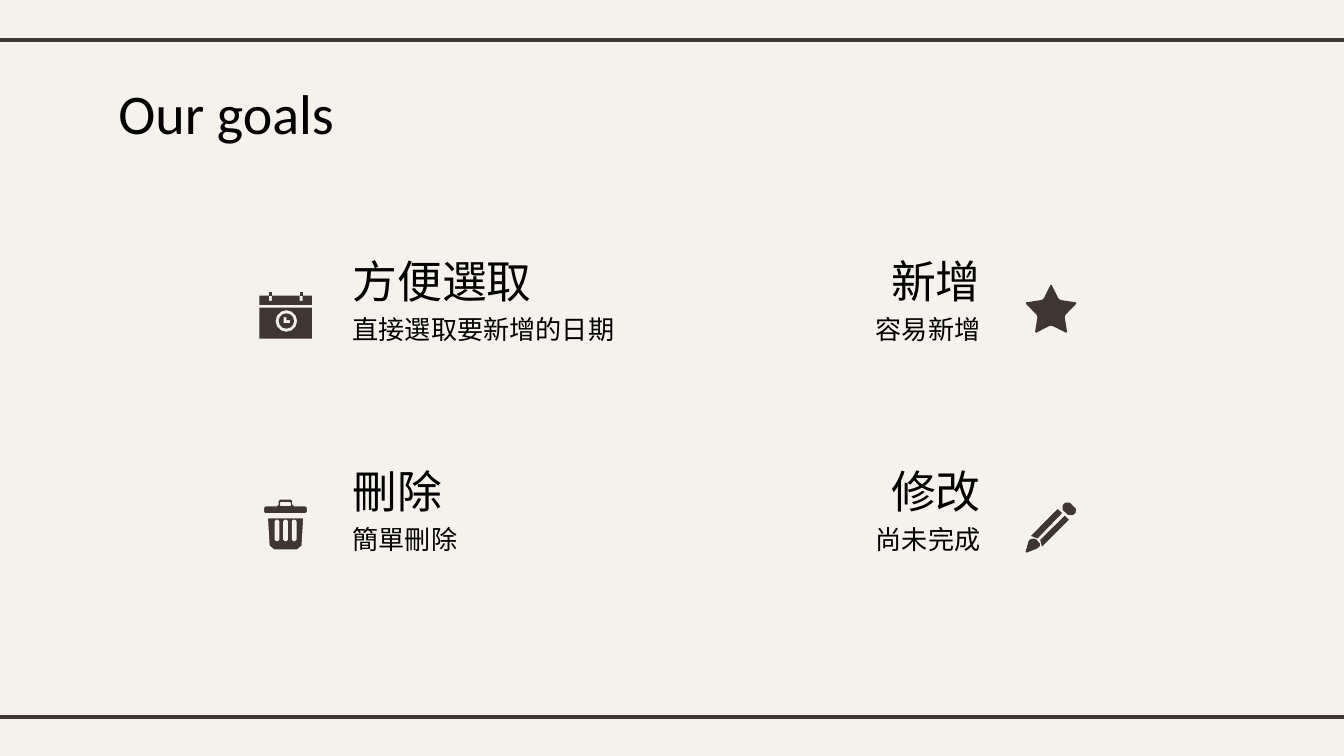
from math import cos, pi, sin

from lxml import etree
from pptx import Presentation
from pptx.dml.color import RGBColor
from pptx.enum.shapes import MSO_CONNECTOR
from pptx.enum.text import MSO_ANCHOR, PP_ALIGN
from pptx.oxml.ns import qn
from pptx.util import Pt

LEFT, RIGHT = PP_ALIGN.LEFT, PP_ALIGN.RIGHT
TOP = MSO_ANCHOR.TOP
STRAIGHT = MSO_CONNECTOR.STRAIGHT
COLORS = {"background": "F5F2EE", "brown": "3F3533", "text": "000000"}
HEADING_FONT, BODY_FONT, TITLE_FONT = "Noto Sans CJK SC", "Montserrat", "Calibri"


def rgb(name):
    """Return a named colour."""
    return RGBColor.from_string(COLORS[name])


def rect(x1, y1, x2, y2):
    """Return the corners of a rectangle."""
    return [(x1, y1), (x2, y1), (x2, y2), (x1, y2)]


def circle(cx, cy, radius, steps=12):
    """Return points around a circle."""
    angles = [2 * pi * i / steps for i in range(steps)]
    return [(cx + radius * cos(a), cy + radius * sin(a)) for a in angles]


def eased(corners, radius):
    """Return the outline with every corner cut back by the radius."""
    points = []
    for i, (x, y) in enumerate(corners):
        for nx, ny in (corners[i - 1], corners[(i + 1) % len(corners)]):
            length = ((nx - x) ** 2 + (ny - y) ** 2) ** 0.5
            t = min(radius / length, 0.45)
            points.append((x + (nx - x) * t, y + (ny - y) * t))
    return points


def add_outline(s, left, top, contours, edge=None):
    """Draw contours as one filled shape; inner contours are holes."""
    scaled = [[(round(x * 100), round(y * 100)) for x, y in c] for c in contours]
    builder = s.shapes.build_freeform(*scaled[0][0], scale=Pt(1) / 100)
    builder.add_line_segments(scaled[0][1:], close=True)
    for contour in scaled[1:]:
        builder.move_to(*contour[0])
        builder.add_line_segments(contour[1:], close=True)
    sp = builder.convert_to_shape(Pt(left), Pt(top))
    sp.shadow.inherit = False
    sp.fill.solid()
    sp.fill.fore_color.rgb = rgb("brown")
    if edge:
        sp.line.color.rgb = rgb(edge)
        sp.line.width = Pt(0.75)
    else:
        sp.line.fill.background()


def draw_calendar(s, left, top):
    """Draw the calendar with a clock face."""
    header = [(0, 2.2), (5, 2.2), (5, 5), (6.6, 5), (6.6, 2.2), (21.5, 2.2),
              (21.5, 5), (23.1, 5), (23.1, 2.2), (28.1, 2.2), (28.1, 7.2), (0, 7.2)]
    hands = [(13, 13.7), (14.4, 13.7), (14.4, 15.3), (16.4, 15.3), (16.4, 17), (13, 17)]
    add_outline(s, left, top, [header])
    add_outline(s, left, top, [rect(0, 8.6, 28.1, 25.2), circle(14.4, 15.8, 5.8),
                               circle(14.4, 15.8, 4.1), hands])
    for x in (5, 21.5):
        add_outline(s, left, top, [rect(x, 0.2, x + 1.6, 2.2)])


def draw_star(s, left, top):
    """Draw the five-pointed star with blunt tips."""
    tips = [(13.7, -0.5), (18, 8), (27.8, 9.5), (20.9, 16.6), (22.4, 26),
            (13.7, 21.6), (5, 26), (6.5, 16.6), (-0.4, 9.5), (9.4, 8)]
    add_outline(s, left, top, [eased(tips, 0.8)])


def draw_trash(s, left, top):
    """Draw the bin and its lid."""
    bin_body = [(2.1, 10), (21.7, 10), (20.8, 25.2), (18.2, 27.4), (5.6, 27.4), (3, 25.2)]
    slots = [eased(rect(x, 11.5, x + 1.8, 22.3), 0.6) for x in (6.4, 11, 15.6)]
    lid = [(0, 3.7), (7.9, 3.7), (7.9, 0), (15.8, 0), (15.8, 3.7), (23.7, 3.7),
           (23.7, 8), (0, 8)]
    add_outline(s, left, top, [bin_body] + slots, "background")
    add_outline(s, left, top, [eased(lid, 0.9), rect(9.4, 2.2, 14.3, 3.7)], "background")


def draw_pencil(s, left, top):
    """Draw the slanted pencil: two shaft halves, eraser and tip."""
    eraser = [(18.7, 2.9), (22.5, -1), (28.2, 4.7), (23.9, 7.9)]
    tip = [(1.9, 20), (5.2, 19.2), (8.2, 22.8), (6.5, 24.7), (-0.2, 27.3)]
    for contour in ([(17.2, 3.6), (19.6, 5.8), (6.4, 19.4), (2.9, 18)],
                    [(21, 7.2), (23.2, 9.4), (8.8, 23.8), (7.9, 20.2)],
                    eased(eraser, 1.7), eased(tip, 0.8)):
        add_outline(s, left, top, [contour])


def set_text(sp, text, font, size, align):
    """Fill a text shape with one formatted paragraph."""
    tf = sp.text_frame
    tf.word_wrap = True
    tf.vertical_anchor = TOP
    tf.margin_left = tf.margin_right = tf.margin_top = tf.margin_bottom = Pt(7.2)
    tf.text = text
    p = tf.paragraphs[0]
    p.alignment = align
    r = p.runs[0]
    r.font.name = font
    r.font.size = Pt(size)
    r.font.color.rgb = rgb("text")
    ea = etree.SubElement(r.font._element, qn("a:ea"))
    ea.set("typeface", font)


def add_goal(s, left, top, heading, detail, align):
    """Place a goal's heading and the detail under it."""
    for dy, height, text, font, size in ((0, 39.6, heading, HEADING_FONT, 24),
                                         (31.9, 45.4, detail, BODY_FONT, 14)):
        sp = s.shapes.add_textbox(Pt(left), Pt(top + dy), Pt(158.4), Pt(height))
        set_text(sp, text, font, size, align)


def add_rule(s, y):
    """Draw a full-width horizontal rule."""
    rule = s.shapes.add_connector(STRAIGHT, Pt(-6), Pt(y), Pt(726), Pt(y))
    rule.line.color.rgb = rgb("brown")
    rule.line.width = Pt(2.25)
    etree.SubElement(rule._element.spPr, qn("a:effectLst"))


def build_goals_slide(prs):
    """Build the slide with the title, four goals and their icons."""
    s = prs.slides.add_slide(prs.slide_layouts[5])
    s.background.fill.solid()
    s.background.fill.fore_color.rgb = rgb("background")
    for y in (21.6, 384):
        add_rule(s, y)
    title = s.shapes.title
    title.left, title.top, title.width, title.height = Pt(56.2), Pt(35), Pt(219.6), Pt(45.4)
    set_text(title, "Our goals", TITLE_FONT, 30, LEFT)
    columns = ((181.8, LEFT), (374, RIGHT))
    rows = (128.7, 241.4)
    goals = ((("方便選取", "直接選取要新增的日期", draw_calendar, 139, 27.5),
              ("新增", "容易新增", draw_star, 549.4, 23.9)),
             (("刪除", "簡單刪除", draw_trash, 141.1, 25.9),
              ("修改", "尚未完成", draw_pencil, 549.4, 27.7)))
    for top, row in zip(rows, goals):
        for (left, align), (heading, detail, draw, icon_x, icon_dy) in zip(columns, row):
            add_goal(s, left, top, heading, detail, align)
            draw(s, icon_x, top + icon_dy)


prs = Presentation()
prs.slide_width, prs.slide_height = Pt(720), Pt(405)
build_goals_slide(prs)
prs.save("out.pptx")
